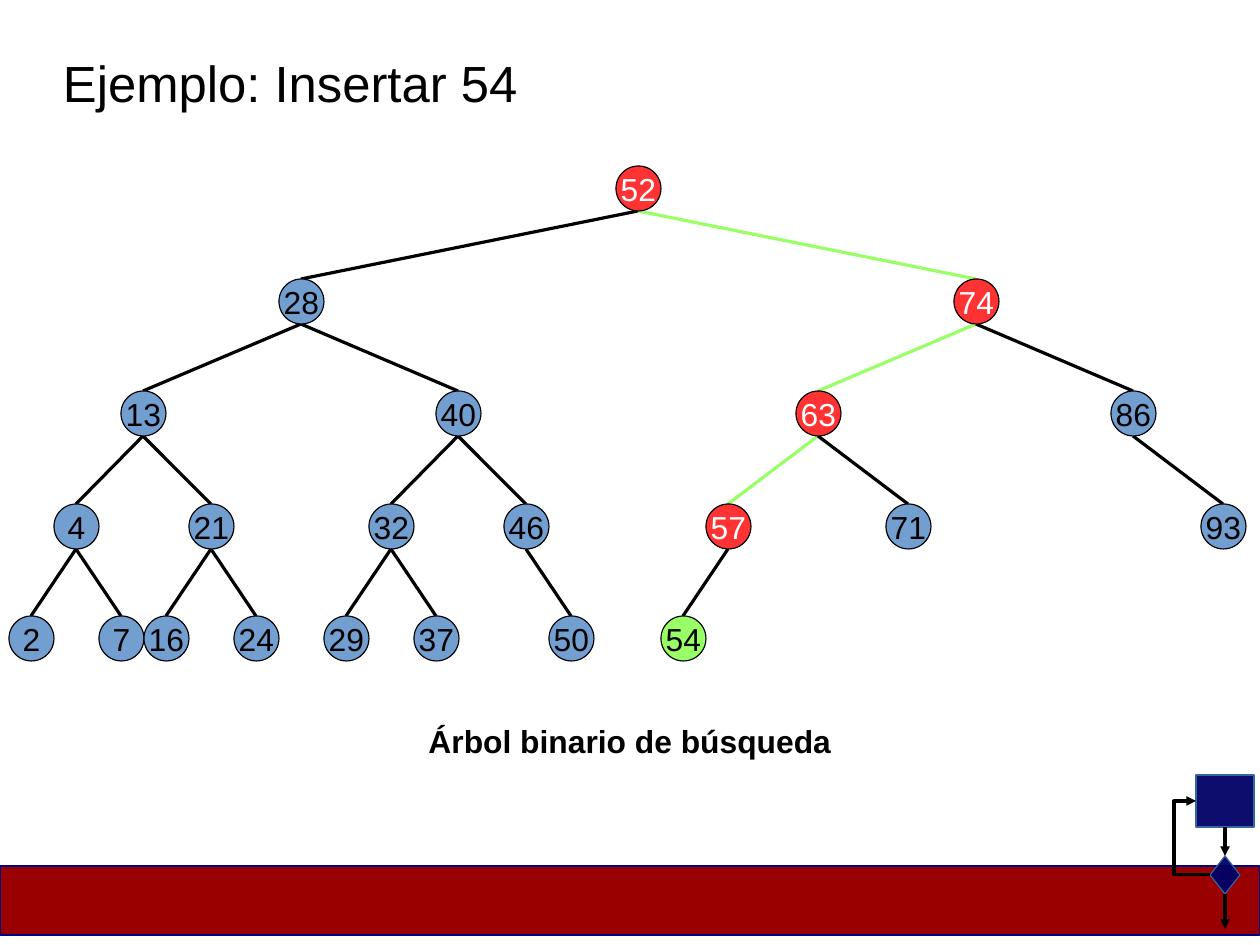
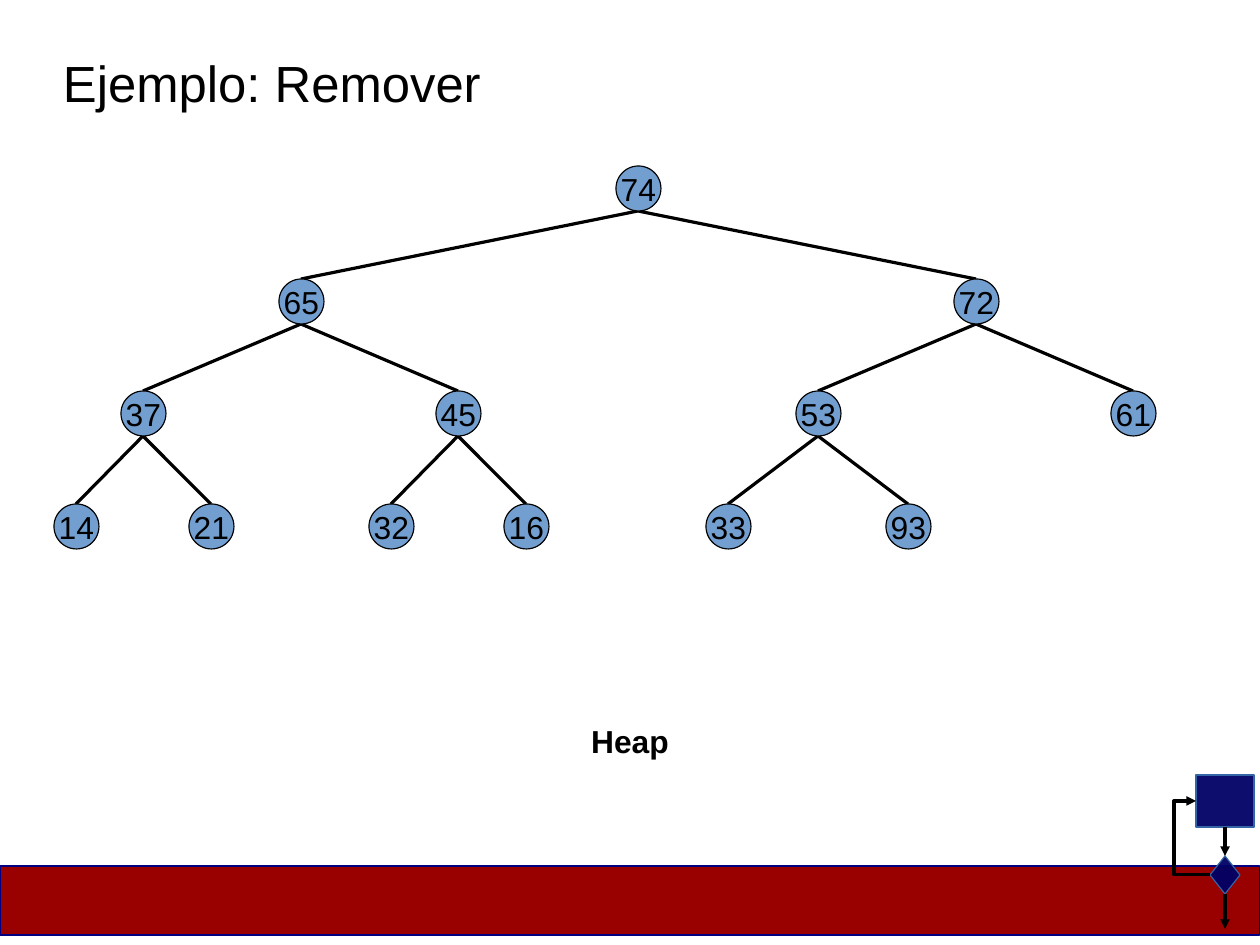
from dataclasses import dataclass
from typing import Optional

import lxml.etree
import pptx
import pptx.dml.color
import pptx.enum.shapes
import pptx.enum.text
import pptx.oxml.ns
import pptx.util

SHAPE = pptx.enum.shapes.MSO_SHAPE
LINE = pptx.enum.shapes.MSO_CONNECTOR
ALIGN = pptx.enum.text.PP_ALIGN
qn = pptx.oxml.ns.qn

# Shared style
EMU_PER_PX = 8000
WIDTH, HEIGHT = 1260, 945
MARGIN = 63
FONT = "Arial"
BLACK, WHITE = "000000", "FFFFFF"
BLUE, RED, GREEN = "729FCF", "FF3333", "99FF66"
BAND, BAND_LINE = "990000", "000080"
FLOW, FLOW_LINE = "000066", "3465A4"

# Tree grid: columns are one node radius apart
DIAMETER = 45
TREE_LEFT, TREE_TOP = 9, 166
ROOT_COLUMN = 27
SPREADS = (15, 7, 3, 2)


@dataclass
class Tree:
    """Values are in level order; None marks an empty place."""
    title: str
    caption: str
    values: tuple[Optional[int], ...]
    visited: tuple[int, ...] = ()
    inserted: Optional[int] = None


@dataclass
class Node:
    value: int
    x: int
    y: int

    @property
    def top(self) -> tuple[int, int]:
        return self.x + DIAMETER // 2, self.y

    @property
    def bottom(self) -> tuple[int, int]:
        return self.x + DIAMETER // 2, self.y + DIAMETER


TREES = (
    Tree("Ejemplo: Insertar 54", "Árbol binario de búsqueda",
         (52, 28, 74, 13, 40, 63, 86, 4, 21, 32, 46, 57, 71, None, 93,
          2, 7, 16, 24, 29, 37, None, 50, 54),
         visited=(52, 74, 63, 57), inserted=54),
    Tree("Ejemplo: Remover", "Heap",
         (74, 65, 72, 37, 45, 53, 61, 14, 21, 32, 16, 33, 93)),
)


def px(n: int) -> int:
    return pptx.util.Emu(n * EMU_PER_PX)


def rgb(color: str):
    return pptx.dml.color.RGBColor.from_string(color)


def set_text(tf, text: str, size: int, color: str = BLACK,
             align=ALIGN.CENTER, bold: bool = False) -> None:
    tf.text = text
    tf.vertical_anchor = pptx.enum.text.MSO_ANCHOR.MIDDLE
    p = tf.paragraphs[0]
    p.alignment = align
    font = p.runs[0].font
    font.name, font.size, font.bold = FONT, pptx.util.Pt(size), bold
    font.color.rgb = rgb(color)


def clear_margins(tf) -> None:
    tf.margin_left = tf.margin_top = tf.margin_right = tf.margin_bottom = 0
    tf.word_wrap = True
    tf.auto_size = pptx.enum.text.MSO_AUTO_SIZE.NONE


def add_shape(shapes, kind, x: int, y: int, w: int, h: int, fill: str,
              line: str, opacity: int = 100):
    sp = shapes.add_shape(kind, px(x), px(y), px(w), px(h))
    sp.shadow.inherit = False
    sp.fill.solid()
    sp.fill.fore_color.rgb = rgb(fill)
    if opacity < 100:
        clr = sp.element.spPr.find(qn("a:solidFill")).find(qn("a:srgbClr"))
        lxml.etree.SubElement(clr, qn("a:alpha"), val=str(opacity * 1000))
    sp.line.color.rgb = rgb(line)
    sp.line.width = 0
    return sp


def add_line(shapes, start: tuple[int, int], end: tuple[int, int],
             color: str = BLACK, width: int = 0, arrow: bool = False,
             kind=LINE.STRAIGHT):
    cxn = shapes.add_connector(kind, *(px(n) for n in start + end))
    cxn.line.color.rgb = rgb(color)
    cxn.line.width = pptx.util.Pt(width)
    sp_pr = cxn.element.spPr
    if arrow:
        lxml.etree.SubElement(sp_pr.find(qn("a:ln")), qn("a:tailEnd"), type="triangle")
    lxml.etree.SubElement(sp_pr, qn("a:effectLst"))
    return cxn


def add_flowchart(s) -> None:
    """Loop ornament in the bottom right corner."""
    shapes = s.shapes.add_group_shape().shapes
    decision = add_shape(shapes, SHAPE.FLOWCHART_DECISION, 1210, 856, 30, 38,
                         FLOW, FLOW_LINE, 95)
    process = add_shape(shapes, SHAPE.FLOWCHART_PROCESS, 1196, 775, 58, 52,
                        FLOW, FLOW_LINE, 95)
    down = add_line(shapes, (1225, 827), (1225, 856), arrow=True)
    down.begin_connect(process, 2)
    down.end_connect(decision, 0)
    # The loop bends beyond its end, so its adjustment exceeds 100 %
    start, end, bend = (1210, 875), (1196, 801), 1174
    loop = add_line(shapes, start, end, arrow=True, kind=LINE.ELBOW)
    adjustment = round(100000 * (start[0] - bend) / (start[0] - end[0]))
    guides = loop.element.spPr.find(qn("a:prstGeom")).find(qn("a:avLst"))
    lxml.etree.SubElement(guides, qn("a:gd"), name="adj1", fmla=f"val {adjustment}")
    leave = add_line(shapes, (1225, 894), (1225, 929), arrow=True)
    leave.begin_connect(decision, 2)


def place_nodes(values: tuple[Optional[int], ...]) -> dict[int, Node]:
    """Nodes by level-order number; the children of n are 2n and 2n + 1."""
    columns = {1: ROOT_COLUMN}
    nodes = {}
    for n, value in enumerate(values, 1):
        row = n.bit_length() - 1
        if row:
            # The right half opens one column wider on the fourth level
            spread = SPREADS[row - 1] + (row == 3 and n >= 12)
            columns[n] = columns[n // 2] + (spread if n % 2 else -spread)
        if value is not None:
            nodes[n] = Node(value, TREE_LEFT + columns[n] * DIAMETER // 2,
                            TREE_TOP + (row * 5 * DIAMETER + 1) // 2)
    return nodes


def add_tree(s, tree: Tree) -> None:
    nodes = place_nodes(tree.values)
    for n, node in nodes.items():
        if n > 1:
            on_route = node.value in tree.visited
            add_line(s.shapes, nodes[n // 2].bottom, node.top,
                     GREEN if on_route else BLACK, 2 if on_route else 0)
    for node in nodes.values():
        fill, color = BLUE, BLACK
        if node.value in tree.visited:
            fill, color = RED, WHITE
        elif node.value == tree.inserted:
            fill = GREEN
        sp = add_shape(s.shapes, SHAPE.OVAL, node.x, node.y, DIAMETER, DIAMETER,
                       fill, BLACK)
        set_text(sp.text_frame, str(node.value), 20, color)
        sp.text_frame.word_wrap = False


def add_slide(prs, tree: Tree) -> None:
    s = prs.slides.add_slide(prs.slide_layouts[5])
    text_width = WIDTH - 2 * MARGIN
    # Title
    title = s.shapes.title
    title.left, title.top = px(MARGIN), px(53)
    title.width, title.height = px(text_width), px(58)
    clear_margins(title.text_frame)
    set_text(title.text_frame, tree.title, 32, align=ALIGN.LEFT)
    # Footer band and ornament
    add_shape(s.shapes, SHAPE.RECTANGLE, 0, 866, WIDTH, 69, BAND, BAND_LINE)
    add_flowchart(s)
    # Tree and caption
    add_tree(s, tree)
    caption = s.shapes.add_textbox(px(MARGIN), px(723), px(text_width), px(36))
    clear_margins(caption.text_frame)
    set_text(caption.text_frame, tree.caption, 20, bold=True)


def main() -> None:
    prs = pptx.Presentation()
    prs.slide_width, prs.slide_height = px(WIDTH), px(HEIGHT)
    for tree in TREES:
        add_slide(prs, tree)
    prs.save("out.pptx")


if __name__ == "__main__":
    main()
